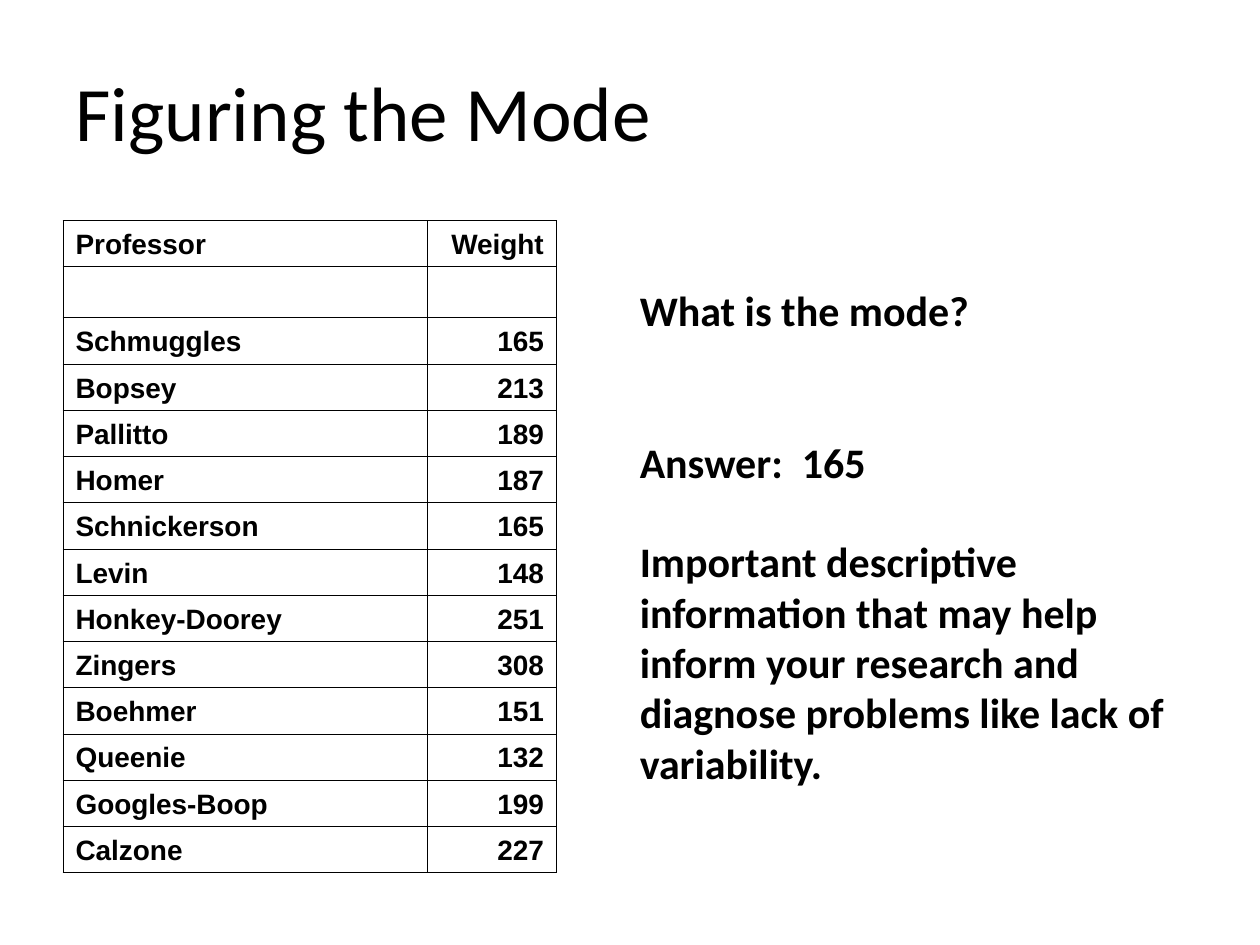
from dataclasses import dataclass

from lxml.etree import SubElement
from pptx import Presentation
from pptx.dml.color import RGBColor
from pptx.enum.text import MSO_ANCHOR, MSO_AUTO_SIZE, PP_ALIGN
from pptx.oxml.ns import qn
from pptx.util import Pt


@dataclass(frozen=True)
class Theme:
    ink: str = "000000"
    paper: str = "FFFFFF"
    sans: str = "Calibri"
    grid: str = "Arial"
    head: int = 44
    body: int = 24
    cell: int = 16
    rule: float = 0.45


THEME = Theme()
ROWS = [
    ("Professor", "Weight"),
    ("", ""),
    ("Schmuggles", "165"),
    ("Bopsey", "213"),
    ("Pallitto", "189"),
    ("Homer", "187"),
    ("Schnickerson", "165"),
    ("Levin", "148"),
    ("Honkey-Doorey", "251"),
    ("Zingers", "308"),
    ("Boehmer", "151"),
    ("Queenie", "132"),
    ("Googles-Boop", "199"),
    ("Calzone", "227"),
]
# Each paragraph with the space before it
NOTES = [
    ("What is the mode?", 0),
    ("Answer:  165", 58),
    ("Important descriptive information that may help inform your research "
     "and diagnose problems like lack of variability.", 28),
]


def apply(item, **values):
    for name, value in values.items():
        setattr(item, name, value)


def style(para, size, face, bold):
    apply(para.font, size=Pt(size), name=face, bold=bold)
    para.font.color.rgb = RGBColor.from_string(THEME.ink)


def place(shape, box):
    names = ("left", "top", "width", "height")
    apply(shape, **dict(zip(names, map(Pt, box))))


def add_title(slide, box, text):
    title = slide.shapes.title
    place(title, box)
    frame = title.text_frame
    frame.text = text
    apply(frame, vertical_anchor=MSO_ANCHOR.MIDDLE,
          auto_size=MSO_AUTO_SIZE.NONE)
    para = frame.paragraphs[0]
    apply(para, alignment=PP_ALIGN.LEFT, line_spacing=0.9)
    style(para, THEME.head, THEME.sans, False)


def add_rules(cell):
    """Draw a thin line on all four sides of the cell."""
    props = cell._tc.get_or_add_tcPr()
    for side in ("lnL", "lnR", "lnT", "lnB"):
        line = SubElement(props, qn(f"a:{side}"), w=str(Pt(THEME.rule)))
        fill = SubElement(line, qn("a:solidFill"))
        SubElement(fill, qn("a:srgbClr"), val=THEME.ink)


def fill_cell(cell, text, align):
    add_rules(cell)
    cell.fill.solid()
    cell.fill.fore_color.rgb = RGBColor.from_string(THEME.paper)
    cell.vertical_anchor = MSO_ANCHOR.BOTTOM
    if text:
        cell.text = text
        para = cell.text_frame.paragraphs[0]
        para.alignment = align
        style(para, THEME.cell, THEME.grid, True)


def add_weights(slide, box, rows):
    left, top, width, height = map(Pt, box)
    table = slide.shapes.add_table(len(rows), 2, left, top, width, height).table
    apply(table, first_row=False, horz_banding=False)
    table.columns[0].width = Pt(208)
    table.columns[1].width = width - Pt(208)
    blank = 29
    full = (box[3] - blank) / (len(rows) - 1)
    aligns = (PP_ALIGN.LEFT, PP_ALIGN.RIGHT)
    for row, texts in zip(table.rows, rows):
        row.height = Pt(full if any(texts) else blank)
        for cell, text, align in zip(row.cells, texts, aligns):
            fill_cell(cell, text, align)


def add_notes(slide, box, notes):
    frame = slide.shapes.add_textbox(*map(Pt, box)).text_frame
    apply(frame, word_wrap=True, auto_size=MSO_AUTO_SIZE.SHAPE_TO_FIT_TEXT)
    for i, (text, gap) in enumerate(notes):
        para = frame.add_paragraph() if i else frame.paragraphs[0]
        apply(para, text=text, space_before=Pt(gap))
        style(para, THEME.body, THEME.sans, True)


def main():
    deck = Presentation()
    apply(deck, slide_width=Pt(720), slide_height=Pt(540))
    slide = deck.slides.add_slide(deck.slide_layouts[5])
    add_title(slide, (36, 21.6, 648, 90), "Figuring the Mode")
    add_weights(slide, (36, 126, 282, 372.5), ROWS)
    add_notes(slide, (358.5, 159, 337, 295), NOTES)
    deck.save("out.pptx")


if __name__ == "__main__":
    main()
